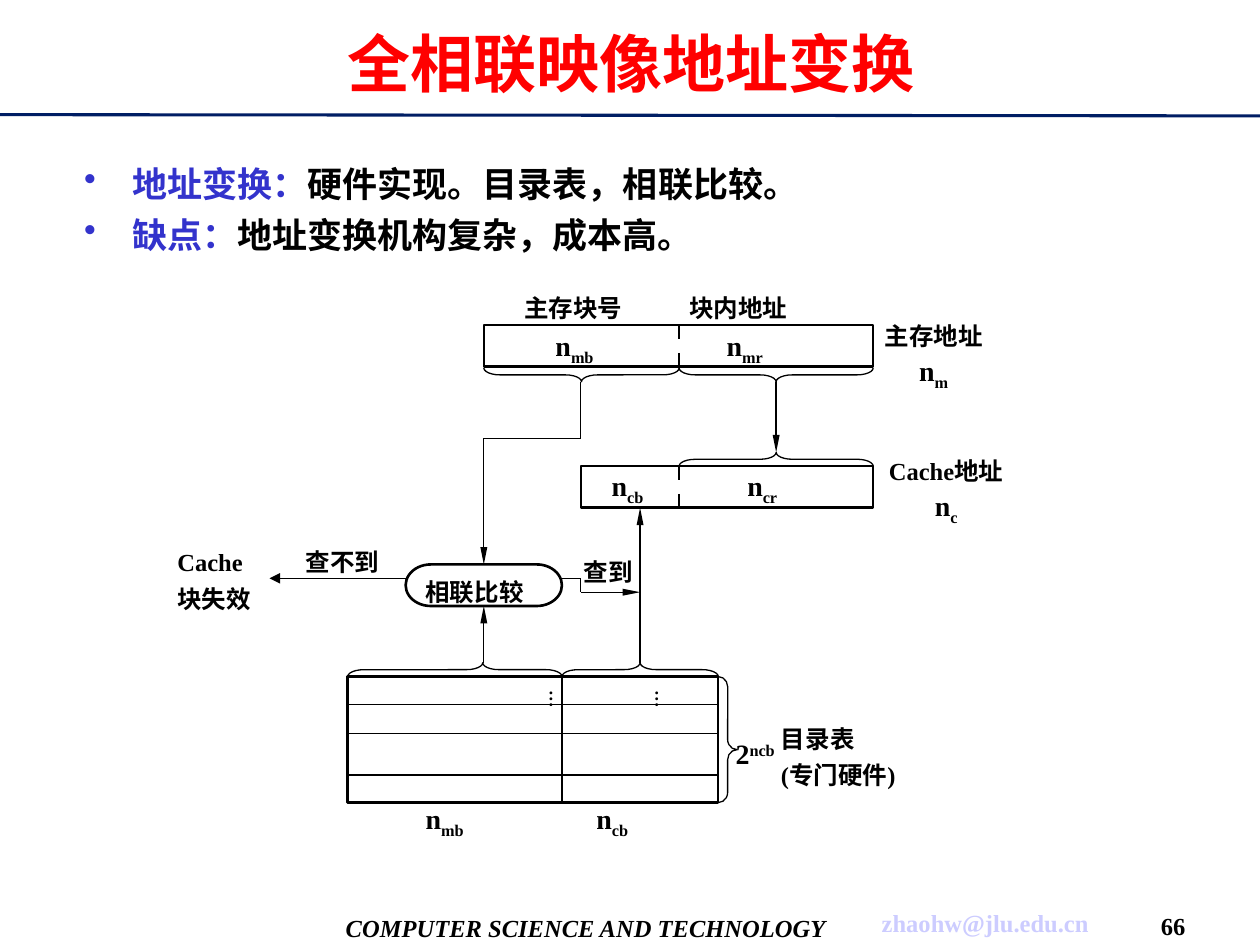
from pptx import Presentation
from pptx.dml.color import RGBColor
from pptx.enum.shapes import MSO_CONNECTOR, MSO_SHAPE
from pptx.enum.text import MSO_ANCHOR, PP_ALIGN
from pptx.oxml.ns import qn
from pptx.util import Inches, Pt
from lxml.etree import SubElement

COLORS = {"ink": "000000", "title": "FF0000", "accent": "3333CC",
          "rule": "001E64", "mail": "CCCCFF"}
FONT = "Times New Roman"
LEFT, CENTER = PP_ALIGN.LEFT, PP_ALIGN.CENTER
TOP, MIDDLE = MSO_ANCHOR.TOP, MSO_ANCHOR.MIDDLE

TITLE = "全相联映像地址变换"
BULLETS = [("地址变换：", "硬件实现。目录表，相联比较。"),
           ("缺点：", "地址变换机构复杂，成本高。")]
FOOTERS = [
    ((2.5, 7.15, 4.3, 0.42), "COMPUTER SCIENCE AND TECHNOLOGY", "ink", True),
    ((6.82, 7.14, 2, 0.36), "zhaohw@jlu.edu.cn", "mail", False),
    ((9.09, 7.19, 0.44, 0.31), "66", "ink", False),
]

MEMORY = (3.84, 2.58, 3.09, 0.33)
CACHE = (4.61, 3.7, 2.32, 0.33)
DIRECTORY = (2.76, 5.37, 2.94, 1)
COMPARATOR = (3.22, 4.48, 1.24, 0.33)
FIELD_SPLIT = 5.39
COLUMN_SPLIT = 4.46
ROW_LINES = [5.59, 5.82, 6.15]

SYMBOLS = [
    (4.56, 2.56, "mb"), (5.91, 2.56, "mr"),
    (4.98, 3.67, "cb"), (6.05, 3.67, "cr"),
    (3.53, 6.31, "mb"), (4.86, 6.31, "cb"),
]
CAPTIONS = [(4.55, 2.28, "主存块号"), (5.86, 2.28, "块内地址"),
            (2.72, 4.29, "查不到"), (4.83, 4.37, "查到")]
ADDRESSES = [(7.41, 2.6, "主存地址", "m"), (7.51, 3.67, "Cache地址", "c")]
NOTES = [((1.31, 4.36, 1.2, 0.55), "Cache", "块失效"),
         ((6.1, 5.76, 2.03, 0.59), "目录表", "(专门硬件)")]
ELLIPSES = [4.42, 5.26]

DOWN_BRACES = [(3.84, 2.92, 1.55, 0.5), (5.39, 2.92, 1.54, 0.5)]
UP_BRACES = [(5.39, 3.59, 1.54, 0.5), (2.76, 5.26, 1.7, 0.37),
             (4.46, 5.26, 1.24, 0.5)]
BRACE_DEPTH = 0.11

SLIM, WIDE = ("sm", "lg"), ("med", "med")
ROUTES = [
    ([(6.16, 3.03), (6.16, 3.59)], SLIM, None),
    ([(4.61, 3.03), (4.61, 3.48), (3.84, 3.48), (3.84, 4.48)], SLIM, 0),
    ([(4.46, 4.59), (4.61, 4.59), (4.61, 4.7), (5.08, 4.7)], SLIM, None),
    ([(5.08, 5.26), (5.08, 4.03)], SLIM, None),
    ([(3.22, 4.59), (2.14, 4.59)], WIDE, None),
    ([(3.84, 5.26), (3.84, 4.81)], SLIM, 2),
]

deck = Presentation()
deck.slide_width, deck.slide_height = Inches(10), Inches(7.5)
page = deck.slides.add_slide(deck.slide_layouts[6])


def color(name):
    return RGBColor.from_string(COLORS[name])


def add_span(para, text, size, tint="ink", baseline=0, italic=False):
    span = para.add_run()
    span.text = text
    font = span.font
    font.name, font.size, font.bold, font.italic = FONT, Pt(size), True, italic
    font.color.rgb = color(tint)
    if baseline:
        font._element.set("baseline", str(baseline * 1000))


def add_box(place, anchor=TOP, wrap=False):
    box = page.shapes.add_textbox(*map(Inches, place))
    box.text_frame.word_wrap = wrap
    box.text_frame.vertical_anchor = anchor
    return box.text_frame


def first_para(frame, align=LEFT, spacing=None):
    para = frame.paragraphs[0]
    para.alignment, para.line_spacing = align, spacing
    return para


def next_para(frame, align, spacing, before):
    para = frame.add_paragraph()
    para.alignment, para.line_spacing, para.space_before = align, spacing, Pt(before)
    return para


def centered_box(center, top, width=1.2, height=0.34, anchor=TOP):
    return add_box((center - width / 2, top, width, height), anchor)


def add_outline(kind, place, weight=1.5):
    shape = page.shapes.add_shape(kind, *map(Inches, place))
    shape.shadow.inherit = False
    shape.fill.background()
    shape.line.color.rgb = color("ink")
    shape.line.width = Pt(weight)
    return shape


def add_line(start, end, tint="ink", weight=0.75, head=None):
    line = page.shapes.add_connector(
        MSO_CONNECTOR.STRAIGHT, *map(Inches, (*start, *end)))
    line.line.color.rgb = color(tint)
    line.line.width = Pt(weight)
    if head:
        SubElement(line.line._get_or_add_ln(), qn("a:tailEnd"),
                   type="triangle", w=head[0], len=head[1])
    SubElement(line._element.spPr, qn("a:effectLst"))
    return line


def add_brace(left, top, length, tip, rotation):
    place = (left + (length - BRACE_DEPTH) / 2, top - (length - BRACE_DEPTH) / 2,
             BRACE_DEPTH, length)
    brace = add_outline(MSO_SHAPE.LEFT_BRACE, place, 0.75)
    brace.rotation = rotation
    brace.adjustments[0], brace.adjustments[1] = 1.16, tip


add_line((0, 0.91), (10, 0.92), "rule", 1.75)
for place, text, tint, italic in FOOTERS:
    frame = add_box(place, MIDDLE)
    frame.margin_left = frame.margin_right = 0
    add_span(first_para(frame, CENTER), text, 14, tint, italic=italic)

frame = add_box((0.32, 0.08, 9.37, 0.83), MIDDLE, True)
add_span(first_para(frame, CENTER), TITLE, 36, "title")

frame = add_box((0.57, 1.24, 8.81, 0.89), wrap=True)
for index, (term, detail) in enumerate(BULLETS):
    para = next_para(frame, LEFT, None, 5) if index else first_para(frame)
    properties = para._p.get_or_add_pPr()
    properties.set("marL", str(Inches(0.38)))
    properties.set("indent", str(-Inches(0.38)))
    SubElement(SubElement(properties, qn("a:buClr")), qn("a:srgbClr"),
               val=COLORS["accent"])
    SubElement(properties, qn("a:buChar"), char="•")
    add_span(para, term, 20, "accent")
    add_span(para, detail, 20)

for place in (MEMORY, CACHE, DIRECTORY):
    add_outline(MSO_SHAPE.RECTANGLE, place)
comparator = add_outline(MSO_SHAPE.FLOWCHART_TERMINATOR, COMPARATOR)
comparator.text_frame.word_wrap = True
comparator.text_frame.vertical_anchor = TOP
add_span(first_para(comparator.text_frame), "相联比较", 14)

for left, top, width, height in (MEMORY, CACHE):
    third = height / 3
    for start in (top, top + 2 * third):
        add_line((FIELD_SPLIT, start), (FIELD_SPLIT, start + third))
left, top, width, height = DIRECTORY
add_line((COLUMN_SPLIT, top), (COLUMN_SPLIT, top + height))
for row in ROW_LINES:
    add_line((left, row), (left + width, row))

for brace in DOWN_BRACES:
    add_brace(*brace, 270)
for brace in UP_BRACES:
    add_brace(*brace, 90)
side_brace = add_outline(MSO_SHAPE.RIGHT_BRACE, (left + width, top, 0.15, height), 0.75)
side_brace.adjustments[0], side_brace.adjustments[1] = 0.53, 0.58

for points, head, site in ROUTES:
    for start, end in zip(points, points[1:]):
        line = add_line(start, end, head=head if end == points[-1] else None)
    if site is not None:
        line.end_connect(comparator, site)

for center, top, subscript in SYMBOLS:
    para = first_para(centered_box(center, top), CENTER)
    add_span(para, "n", 16)
    add_span(para, subscript, 16, baseline=-25)
for center, top, text in CAPTIONS:
    add_span(first_para(centered_box(center, top), CENTER), text, 14)
for center, top, text, subscript in ADDRESSES:
    frame = centered_box(center, top, 1.4, 0.51)
    add_span(first_para(frame, CENTER, 0.5), text, 14)
    para = next_para(frame, CENTER, 0.5, 10)
    add_span(para, "n", 16)
    add_span(para, subscript, 16, baseline=-25)
for place, upper, lower in NOTES:
    frame = add_box(place, wrap=True)
    add_span(first_para(frame, spacing=0.7), upper, 14)
    add_span(next_para(frame, LEFT, 0.7, 9), lower, 14)

para = first_para(add_box((5.74, 5.8, 1.2, 0.37), wrap=True))
add_span(para, "2", 16)
add_span(para, "ncb", 16, baseline=30)
for center in ELLIPSES:
    frame = centered_box(center, 5.38, 0.3, 0.36, MIDDLE)
    frame._txBody.bodyPr.set("vert", "eaVert")
    add_span(first_para(frame), "…", 10)

deck.save("out.pptx")
